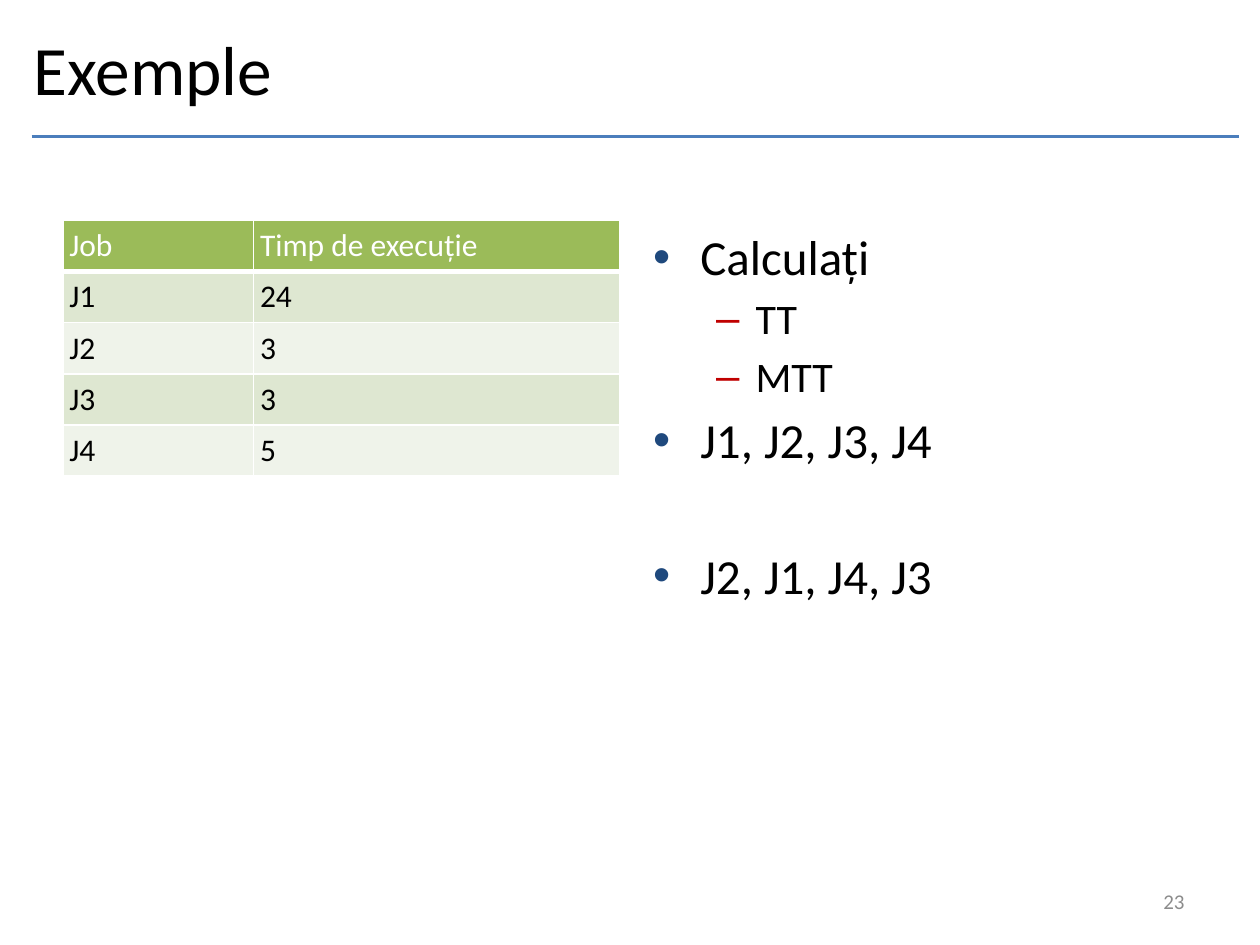
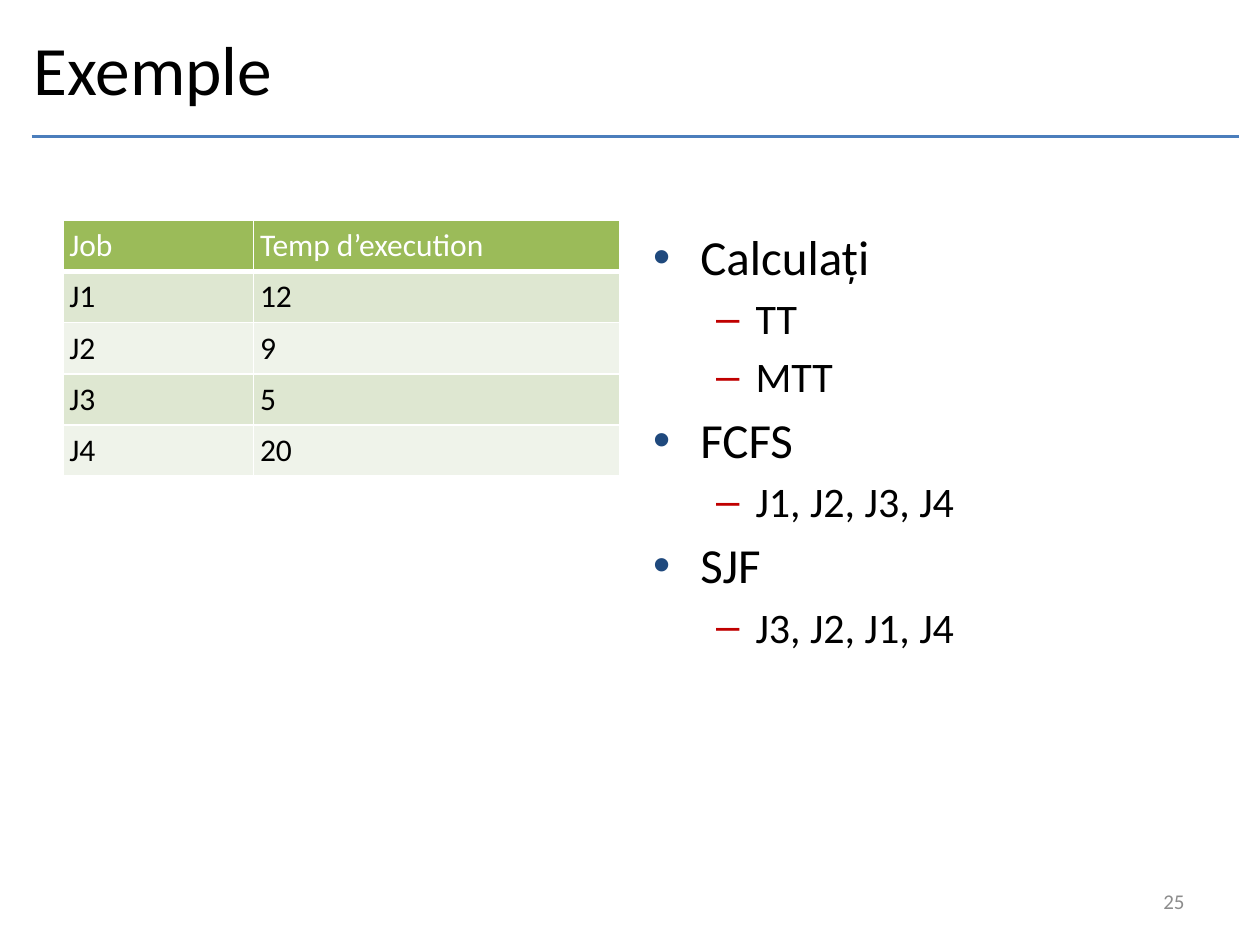
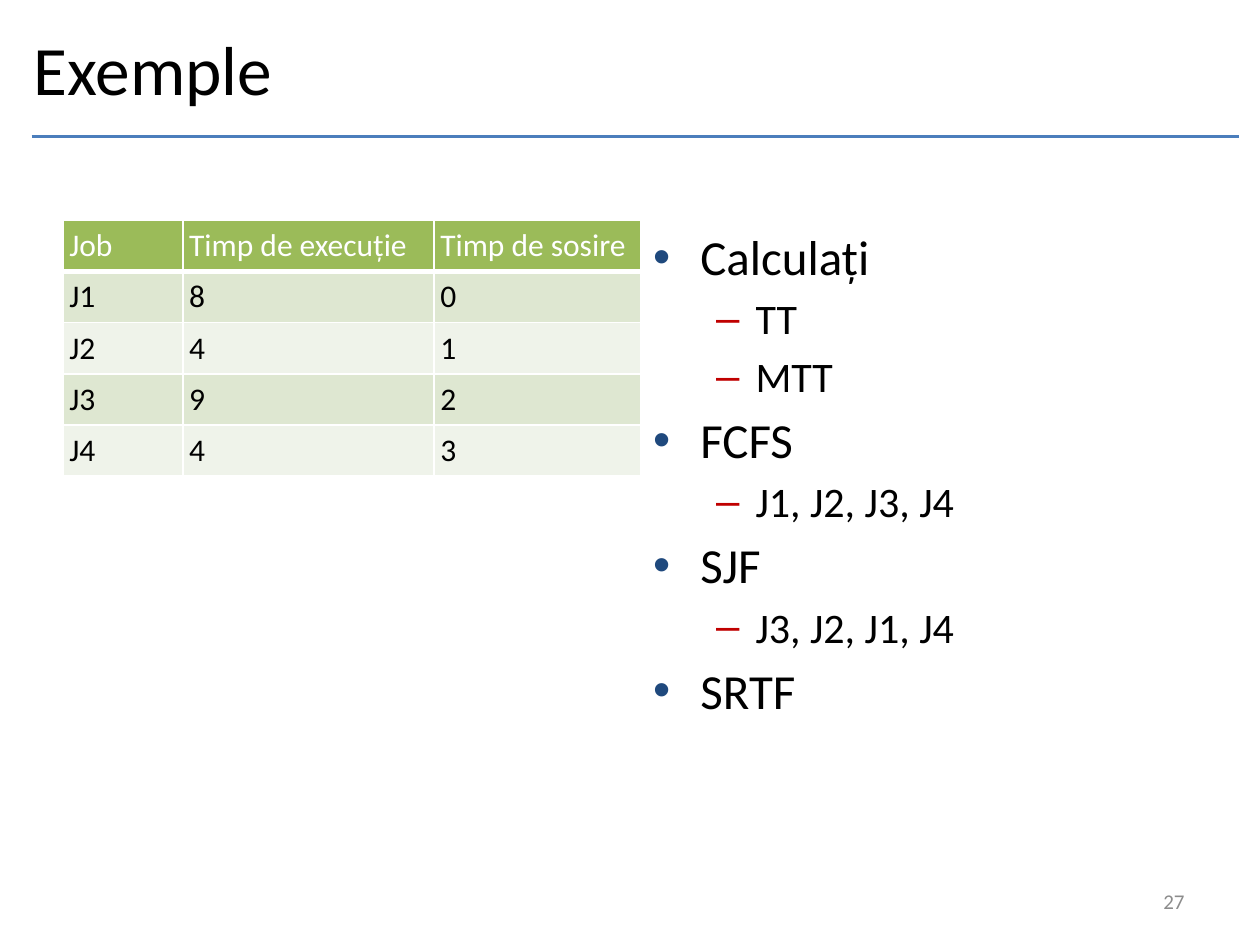
from lxml import etree
from pptx import Presentation
from pptx.dml.color import RGBColor
from pptx.enum import shapes, text
from pptx.oxml import ns
from pptx.util import Pt

BLACK = RGBColor(0, 0, 0)
WHITE = RGBColor(255, 255, 255)
GREY = RGBColor(0x8C, 0x8C, 0x8C)
BLUE = RGBColor(0x4B, 0x7E, 0xBC)
NAVY = RGBColor(0x1F, 0x49, 0x7D)
RED = RGBColor(0xC0, 0, 0)
GREEN = RGBColor(0x9B, 0xBB, 0x59)
BANDS = RGBColor(0xEF, 0xF3, 0xEA), RGBColor(0xDE, 0xE7, 0xD1)

# Per level: mark, mark colour, text size, left indent, hang, space before
LEVELS = (("•", NAVY, 28, 27, 27, 4.9), ("–", RED, 24, 58.5, 22.5, 4.2))
GAP = 44


def sub(node, tag, **attrs):
    return etree.SubElement(node, ns.qn(tag), attrs)


def write(para, words, size=18, color=BLACK, align=text.PP_ALIGN.LEFT, before=0):
    para.text = words
    para.alignment = align
    para.space_before = Pt(before)
    font = para.runs[0].font
    font.name, font.size, font.bold = "Calibri", Pt(size), False
    font.color.rgb = color


def bullet(para, level):
    mark, color, _, left, hang, _ = LEVELS[level]
    para.level = level
    props = para._p.get_or_add_pPr()
    props.set("marL", str(Pt(left)))
    props.set("indent", str(-Pt(hang)))
    sub(sub(props, "a:buClr"), "a:srgbClr", val=str(color))
    sub(props, "a:buFont", typeface="Arial")
    sub(props, "a:buChar", char=mark)


def border(cell, base):
    """Draw white cell edges, the lower one base points wide."""
    props = cell._tc.get_or_add_tcPr()
    for side, width in zip("LRTB", (1, 1, 1, base)):
        edge = sub(props, "a:ln" + side, w=str(Pt(width)))
        sub(sub(edge, "a:solidFill"), "a:srgbClr", val=str(WHITE))


class Deck:
    def __init__(self):
        self.file = Presentation()
        self.file.slide_width, self.file.slide_height = Pt(720), Pt(540)

    def place(self, shape, left, top, width, height):
        shape.left, shape.top = Pt(left), Pt(top)
        shape.width, shape.height = Pt(width), Pt(height)
        frame = shape.text_frame
        frame.word_wrap = True
        frame.auto_size = text.MSO_AUTO_SIZE.NONE
        return frame

    def start(self, title, number):
        self.slide = self.file.slides.add_slide(self.file.slide_layouts[1])
        self.rule()
        frame = self.place(self.slide.shapes.title, 12, 12, 588, 54)
        frame.vertical_anchor = text.MSO_ANCHOR.MIDDLE
        write(frame.paragraphs[0], title, size=39.6)
        self.number(number)

    def rule(self):
        line = self.slide.shapes.add_connector(
            shapes.MSO_CONNECTOR.STRAIGHT, Pt(18), Pt(78), Pt(708), Pt(78))
        line.line.color.rgb, line.line.width = BLUE, Pt(2)
        sub(line._element.spPr, "a:effectLst")

    def number(self, value):
        box = self.slide.shapes.add_textbox(0, 0, 0, 0)
        frame = self.place(box, 516, 500.5, 168, 28.75)
        frame.vertical_anchor = text.MSO_ANCHOR.MIDDLE
        write(frame.paragraphs[0], str(value), size=12, color=GREY,
              align=text.PP_ALIGN.RIGHT)

    def table(self, rows, widths):
        high = 29.2
        grid = self.slide.shapes.add_table(
            len(rows), len(widths), Pt(36), Pt(126),
            Pt(sum(widths)), Pt(high * len(rows))).table
        grid.first_row = grid.horz_banding = False
        for col, width in zip(grid.columns, widths):
            col.width = Pt(width)
        for r, row in enumerate(rows):
            grid.rows[r].height = Pt(high)
            head = r == 0
            for c, words in enumerate(row):
                cell = grid.cell(r, c)
                cell.margin_left = cell.margin_right = Pt(3.6)
                cell.margin_top = cell.margin_bottom = Pt(3.6)
                border(cell, 3 if head else 1)
                cell.fill.solid()
                cell.fill.fore_color.rgb = GREEN if head else BANDS[r % 2]
                write(cell.text_frame.paragraphs[0], str(words),
                      color=WHITE if head else BLACK)

    def list(self, items):
        """Fill the body from (level, words) or (level, words, space before)."""
        frame = self.place(self.slide.placeholders[1], 366, 126, 318, 356.5)
        for i, (level, words, *space) in enumerate(items):
            para = frame.add_paragraph() if i else frame.paragraphs[0]
            bullet(para, level)
            size, before = LEVELS[level][2], LEVELS[level][5]
            write(para, words, size=size,
                  before=space[0] if space else before if i else 0)


def main():
    goal = [(0, "Calculați"), (1, "TT"), (1, "MTT")]
    plans = goal + [(0, "FCFS"), (1, "J1, J2, J3, J4"),
                    (0, "SJF"), (1, "J3, J2, J1, J4")]
    pair, triple = (109, 209), (68.5, 143.5, 118)
    pages = (
        (23, pair, ("Timp de execuție",), ((24,), (3,), (3,), (5,)),
         goal + [(0, "J1, J2, J3, J4"), (0, "J2, J1, J4, J3", GAP)]),
        (25, pair, ("Temp d’execution",), ((12,), (9,), (5,), (20,)), plans),
        (27, triple, ("Timp de execuție", "Timp de sosire"),
         ((8, 0), (4, 1), (9, 2), (4, 3)), plans + [(0, "SRTF")]),
    )
    deck = Deck()
    for number, widths, heads, times, items in pages:
        deck.start("Exemple", number)
        jobs = [(f"J{n}", *vals) for n, vals in enumerate(times, 1)]
        deck.table([("Job", *heads), *jobs], widths)
        deck.list(items)
    deck.file.save("out.pptx")


if __name__ == "__main__":
    main()
